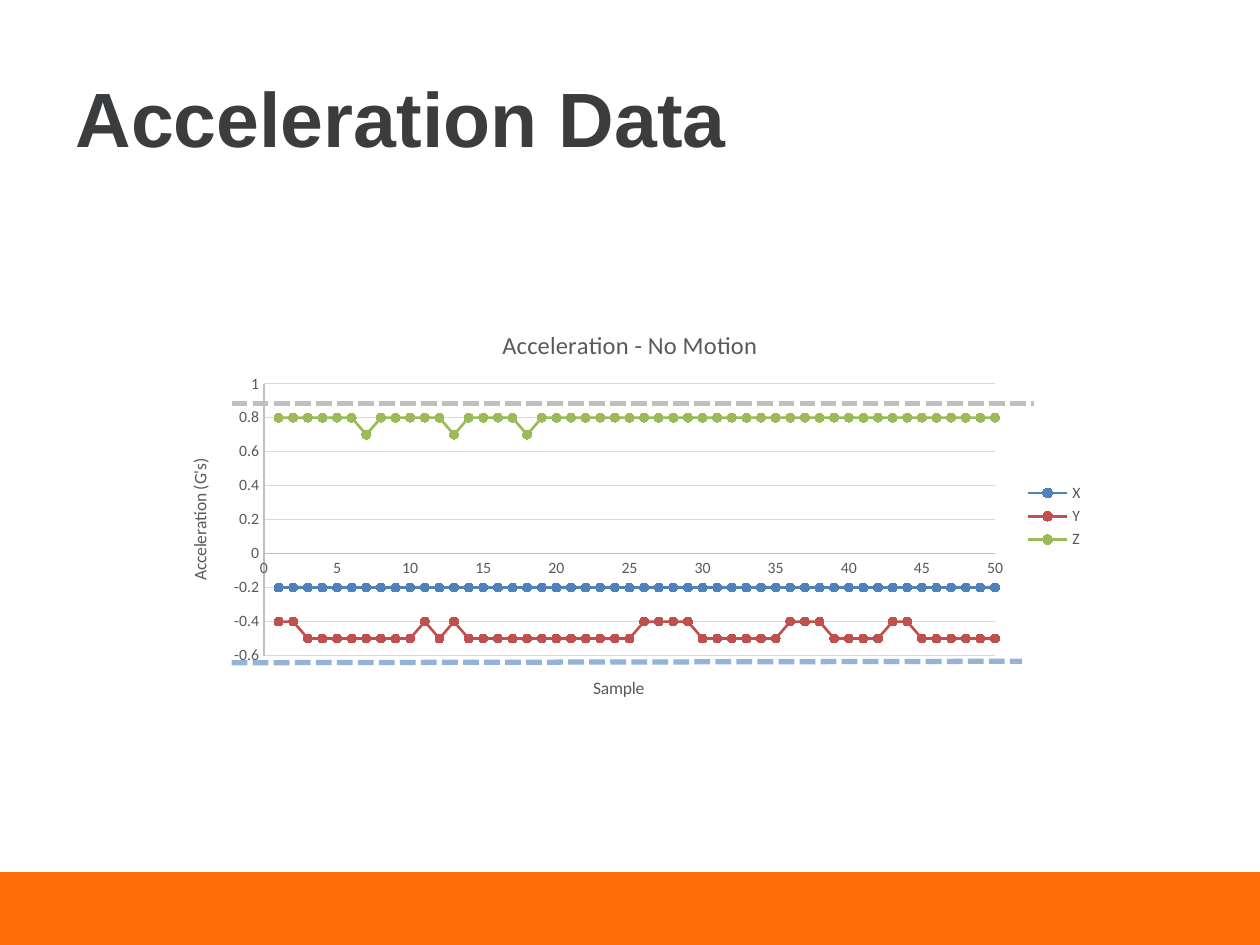
import lxml.etree
import pptx
import pptx.chart.data
import pptx.dml.color
import pptx.enum.chart
import pptx.enum.dml
import pptx.enum.shapes
import pptx.enum.text
import pptx.oxml
import pptx.oxml.ns
import pptx.util
from pptx.util import Cm

SAMPLES = range(1, 51)
Y_HIGH = {1, 2, 11, 13, *range(26, 30), *range(36, 39), 43, 44}
Z_LOW = {7, 13, 18}
SERIES = [
    ("X", "4F81BD", [-0.2 for sample in SAMPLES]),
    ("Y", "C0504D", [-0.4 if sample in Y_HIGH else -0.5 for sample in SAMPLES]),
    ("Z", "9BBB59", [0.7 if sample in Z_LOW else 0.8 for sample in SAMPLES]),
]
PLOT_PERCENT = {"x": 10.75, "y": 18.1, "w": 78.4, "h": 65.4}


def color(value):
    return pptx.dml.color.RGBColor.from_string(value)


def style_font(font, name, size, value, bold=False):
    font.name = name
    font.size = pptx.util.Pt(size)
    font.bold = bold
    font.color.rgb = color(value)


def style_line(line, value, width):
    line.color.rgb = color(value)
    line.width = pptx.util.Pt(width)


def add_title(page, text):
    title = page.shapes.title
    title.left, title.top = Cm(1.27), Cm(0.76)
    title.width, title.height = Cm(22.86), Cm(3.18)
    frame = title.text_frame
    frame.vertical_anchor = pptx.enum.text.MSO_ANCHOR.MIDDLE
    para = frame.paragraphs[0]
    para.alignment = pptx.enum.text.PP_ALIGN.LEFT
    span = para.add_run()
    span.text = text
    style_font(span.font, "Arial", 44, "3B3C3E", True)


def add_footer_band(page):
    band = page.shapes.add_shape(
        pptx.enum.shapes.MSO_SHAPE.RECTANGLE, 0, Cm(17.58), Cm(25.4), Cm(1.47))
    band.shadow.inherit = False
    band.fill.solid()
    band.fill.fore_color.rgb = color("FD6D08")
    band.line.fill.background()


def write_chart_title(owner, text, size):
    span = owner.text_frame.paragraphs[0].add_run()
    span.text = text
    style_font(span.font, "Calibri", size, "595959")


def style_axis(axis, text):
    axis.major_tick_mark = pptx.enum.chart.XL_TICK_MARK.NONE
    axis.minor_tick_mark = pptx.enum.chart.XL_TICK_MARK.NONE
    style_font(axis.tick_labels.font, "Calibri", 9, "595959")
    style_line(axis.format.line, "BFBFBF", 0.75)
    write_chart_title(axis.axis_title, text, 10)


def style_series(series, value):
    series.smooth = False
    style_line(series.format.line, value, 1.5)
    marker = series.marker
    marker.style = pptx.enum.chart.XL_MARKER_STYLE.CIRCLE
    marker.size = 5
    marker.format.fill.solid()
    marker.format.fill.fore_color.rgb = color(value)
    style_line(marker.format.line, value, 0.75)


def place_plot(chart):
    plot_area = chart._chartSpace.chart.plotArea
    for layout in plot_area.findall(pptx.oxml.ns.qn("c:layout")):
        plot_area.remove(layout)
    layout = pptx.oxml.parse_xml(
        f"<c:layout {pptx.oxml.ns.nsdecls('c')}><c:manualLayout>"
        '<c:layoutTarget val="inner"/><c:xMode val="edge"/><c:yMode val="edge"/>'
        + "".join(f'<c:{key} val="{share / 100:.4f}"/>'
                  for key, share in PLOT_PERCENT.items())
        + "</c:manualLayout></c:layout>")
    plot_area.insert(0, layout)


def add_acceleration_chart(page):
    data = pptx.chart.data.XyChartData()
    for name, value, readings in SERIES:
        series = data.add_series(name)
        for sample, reading in zip(SAMPLES, readings):
            series.add_data_point(sample, reading)
    chart = page.shapes.add_chart(
        pptx.enum.chart.XL_CHART_TYPE.XY_SCATTER_LINES,
        Cm(3.3), Cm(6.22), Cm(18.8), Cm(8.38), data).chart
    style_font(chart.font, "Calibri", 10, "000000")
    write_chart_title(chart.chart_title, "Acceleration - No Motion", 14)
    chart.chart_title.include_in_layout = False
    chart.has_legend = True
    chart.legend.position = pptx.enum.chart.XL_LEGEND_POSITION.RIGHT
    chart.legend.include_in_layout = False
    style_font(chart.legend.font, "Calibri", 9, "595959")
    style_axis(chart.category_axis, "Sample")
    chart.category_axis.maximum_scale = 50
    chart.category_axis.has_major_gridlines = False
    style_axis(chart.value_axis, "Acceleration (G's)")
    chart.value_axis.has_major_gridlines = True
    style_line(chart.value_axis.major_gridlines.format.line, "D9D9D9", 0.75)
    plot = chart.plots[0]
    plot.vary_by_categories = False
    for series, (name, value, readings) in zip(plot.series, SERIES):
        style_series(series, value)
    place_plot(chart)


def add_dashed_line(page, left, top, right, bottom, value):
    line = page.shapes.add_connector(
        pptx.enum.shapes.MSO_CONNECTOR.STRAIGHT, Cm(left), Cm(top), Cm(right), Cm(bottom))
    style_line(line.line, value, 3)
    line.line.dash_style = pptx.enum.dml.MSO_LINE.SQUARE_DOT
    lxml.etree.SubElement(line._element.spPr, pptx.oxml.ns.qn("a:effectLst"))


def main():
    deck = pptx.Presentation()
    deck.slide_width, deck.slide_height = Cm(25.4), Cm(19.05)
    page = deck.slides.add_slide(deck.slide_layouts[5])
    add_footer_band(page)
    add_title(page, "Acceleration Data")
    add_acceleration_chart(page)
    add_dashed_line(page, 4.67, 8.13, 20.85, 8.13, "BFBFBF")
    add_dashed_line(page, 4.67, 13.36, 20.6, 13.33, "95B3D7")
    deck.save("out.pptx")


if __name__ == "__main__":
    main()
